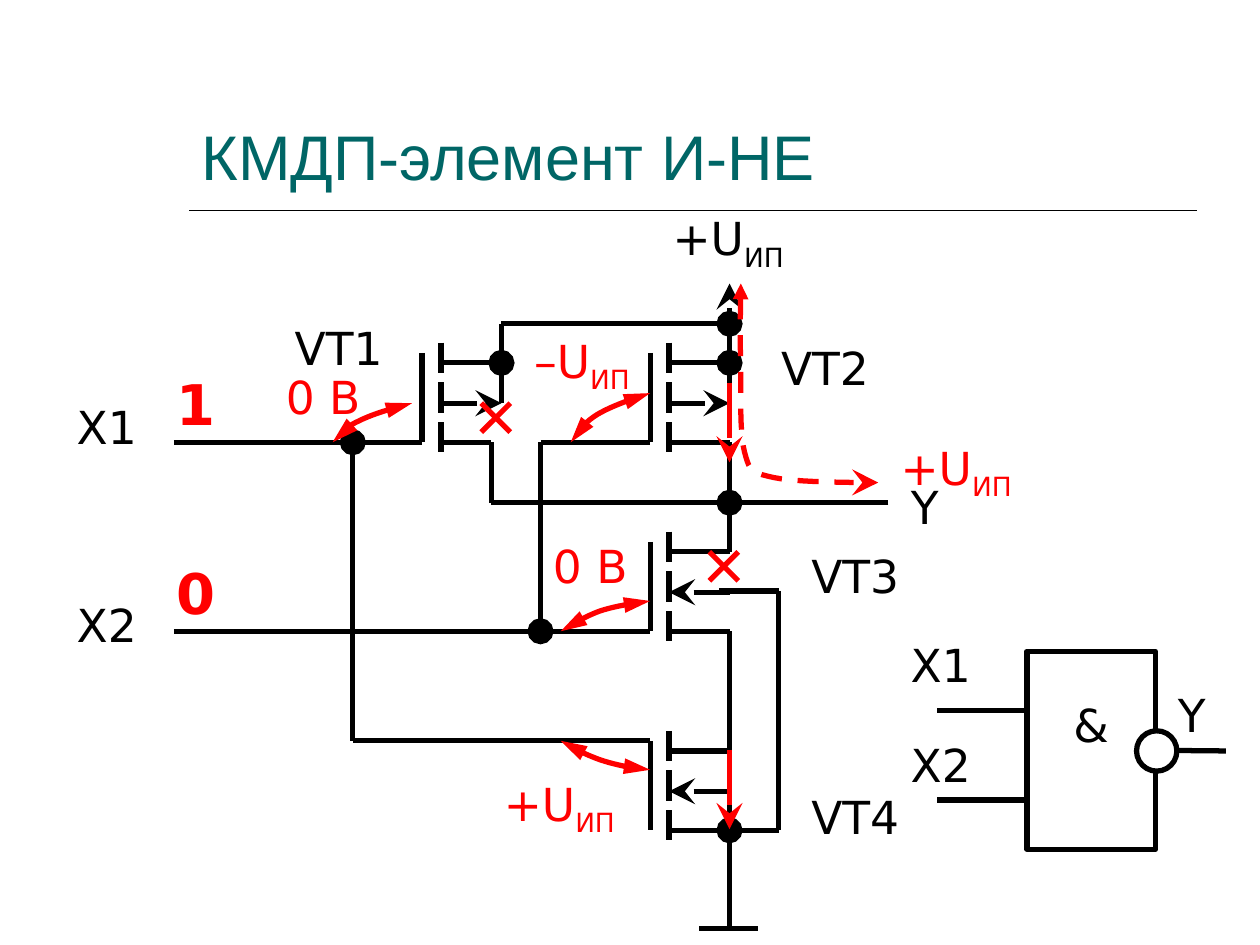
from dataclasses import dataclass

from lxml import etree
from pptx import Presentation
from pptx.dml.color import RGBColor
from pptx.enum.dml import MSO_LINE
from pptx.enum.shapes import MSO_CONNECTOR, MSO_SHAPE
from pptx.enum.text import MSO_ANCHOR, MSO_AUTO_SIZE, PP_ALIGN
from pptx.oxml.ns import qn
from pptx.util import Inches, Pt

STRAIGHT = MSO_CONNECTOR.STRAIGHT
RECTANGLE, OVAL = MSO_SHAPE.RECTANGLE, MSO_SHAPE.OVAL
BOTTOM, MIDDLE = MSO_ANCHOR.BOTTOM, MSO_ANCHOR.MIDDLE
CENTER = PP_ALIGN.CENTER
GROW = MSO_AUTO_SIZE.SHAPE_TO_FIT_TEXT
DASH = MSO_LINE.DASH
STEALTH = ("stealth", "lg", "lg")
DOT = ("oval", "lg", "lg")
TRIANGLE = ("triangle", "med", "lg")
SMALL_TRIANGLE = ("triangle", "med", "med")


@dataclass(frozen=True)
class Theme:
    """Colours, fonts and sizes of the slide."""
    ink: RGBColor = RGBColor(0, 0, 0)
    signal: RGBColor = RGBColor(255, 0, 0)
    heading: RGBColor = RGBColor(0, 0x66, 0x66)
    paper: RGBColor = RGBColor(255, 255, 255)
    heading_font: str = "Arial"
    label_font: str = "DejaVu Sans"
    heading_size: int = 36
    level_size: int = 32
    label_size: int = 26
    rule: int = 1
    wire: int = 3


THEME = Theme()


def style_font(font, color, size=THEME.label_size, name=THEME.label_font, bold=False):
    """Apply typeface, size, colour and weight."""
    font.name, font.size, font.bold = name, Pt(size), bold
    font.color.rgb = color


def style_line(shape, color, width=THEME.wire, head=None, tail=None, dash=None):
    """Style an outline and add its end marks."""
    shape.line.width = Pt(width)
    shape.line.color.rgb = color
    if dash:
        shape.line.dash_style = dash
    outline = shape.element.spPr.find(qn("a:ln"))
    for tag, mark in (("a:headEnd", head), ("a:tailEnd", tail)):
        if mark:
            kind, width_class, length_class = mark
            etree.SubElement(outline, qn(tag), type=kind, w=width_class, len=length_class)


def bezier_points(start, segments, steps=10):
    """Return points along a chain of cubic curves."""
    points = [start]
    for first, second, end in segments:
        begin = points[-1]
        for step in range(1, steps + 1):
            t = step / steps
            weights = ((1 - t) ** 3, 3 * t * (1 - t) ** 2, 3 * t * t * (1 - t), t ** 3)
            corners = (begin, first, second, end)
            points.append(tuple(sum(w * corner[axis] for w, corner in zip(weights, corners))
                                for axis in (0, 1)))
    return points


@dataclass
class Region:
    """A part of the slide with its own origin in inches."""
    slide: object
    left: float
    top: float

    def place(self, x, y):
        """Return the slide position of a point in the region."""
        return Inches(self.left + x), Inches(self.top + y)

    def line(self, x1, y1, x2, y2, color=THEME.ink, **style):
        """Draw a straight line."""
        connector = self.slide.shapes.add_connector(
            STRAIGHT, *self.place(x1, y1), *self.place(x2, y2))
        style_line(connector, color, **style)
        etree.SubElement(connector.element.spPr, qn("a:effectLst"))
        return connector

    def curve(self, start, *segments, **style):
        """Draw an open curve in the signal colour."""
        points = [self.place(*point) for point in bezier_points(start, segments)]
        builder = self.slide.shapes.build_freeform(*points[0], scale=1.0)
        builder.add_line_segments(points[1:], close=False)
        shape = builder.convert_to_shape()
        shape.shadow.inherit = False
        shape.fill.background()
        style_line(shape, THEME.signal, **style)

    def label(self, text, x, y, width, height=0.54, color=THEME.ink, subscript="", **font):
        """Write a label with an optional subscript."""
        box = self.slide.shapes.add_textbox(*self.place(x, y), Inches(width), Inches(height))
        frame = box.text_frame
        frame.word_wrap = True
        frame.auto_size = GROW
        frame.text = text
        paragraph = frame.paragraphs[0]
        if subscript:
            paragraph.add_run().text = subscript
        for run in paragraph.runs:
            style_font(run.font, color, **font)
        if subscript:
            paragraph.runs[1].font._element.set("baseline", "-25000")

    def shape(self, kind, x, y, width, height):
        """Draw an outlined shape on the paper colour."""
        shape = self.slide.shapes.add_shape(
            kind, *self.place(x, y), Inches(width), Inches(height))
        shape.shadow.inherit = False
        shape.fill.solid()
        shape.fill.fore_color.rgb = THEME.paper
        style_line(shape, THEME.ink)
        return shape


def draw_title(region, text):
    """Write the slide title above its rule."""
    region.line(0, 1.34, 8, 1.34, width=THEME.rule)
    box = region.slide.shapes.add_textbox(*region.place(0, 0), Inches(8), Inches(1.25))
    frame = box.text_frame
    frame.word_wrap = True
    frame.vertical_anchor = BOTTOM
    frame.text = text
    style_font(frame.paragraphs[0].runs[0].font, THEME.heading,
               THEME.heading_size, THEME.heading_font)


def draw_transistor(region, p_channel, source_length=0.48):
    """Draw a transistor with its channel at the left edge of the region."""
    region.line(-0.15, 0.08, -0.15, 0.79)
    for index in range(3):
        top = 0.315 * index
        region.line(0, top, 0, top + 0.24)
    region.line(0, 0.16, 0.48, 0.16)
    marks = {"tail": STEALTH} if p_channel else {"head": STEALTH}
    region.line(0, 0.48, 0.48, 0.48, **marks)
    region.line(0, 0.79, source_length, 0.79)


def draw_cross(region, size=0.23):
    """Mark a closed transistor with a cross."""
    region.line(0, 0, size, size, THEME.signal)
    region.line(0, size, size, 0, THEME.signal)


def draw_circuit(region):
    """Draw the four transistors, their wires and names."""
    transistors = [(3.5, 1.72, True, 0.4), (5.31, 1.72, True, 0.48),
                   (5.31, 3.22, False, 0.48), (5.31, 4.8, False, 0.48)]
    for x, y, p_channel, source_length in transistors:
        part = Region(region.slide, region.left + x, region.top + y)
        draw_transistor(part, p_channel, source_length)
    wires = [(1.38, 2.51, 3.35, 2.51), (1.38, 4.01, 5.16, 4.01), (2.8, 4.88, 5.16, 4.88),
             (4.29, 2.51, 5.16, 2.51), (3.9, 2.51, 3.9, 2.99), (3.9, 2.99, 5.79, 2.99),
             (3.98, 1.57, 3.98, 1.88), (5.79, 2.51, 5.79, 3.38), (5.79, 4.01, 5.79, 4.96),
             (5.79, 5.27, 5.79, 5.59), (5.71, 3.69, 6.18, 3.69), (6.18, 3.69, 6.18, 5.59),
             (5.79, 5.59, 6.18, 5.59), (5.55, 6.37, 6.02, 6.37)]
    for wire in wires:
        region.line(*wire)
    joined_wires = [(5.79, 6.37, 5.79, 5.59), (4.29, 2.51, 4.29, 4.01), (5.79, 2.2, 5.79, 1.88),
                    (7.05, 2.99, 5.79, 2.99), (3.98, 2.2, 3.98, 1.88), (3.98, 1.57, 5.79, 1.57),
                    (2.8, 4.88, 2.8, 2.51)]
    for wire in joined_wires:
        region.line(*wire, tail=DOT)
    region.line(5.79, 1.25, 5.79, 1.88, head=STEALTH)
    names = [("X1", 0.51, 2.12), ("X2", 0.51, 3.69), ("Y", 7.13, 2.75), ("VT1", 2.24, 1.49),
             ("VT2", 6.1, 1.65), ("VT3", 6.34, 3.3), ("VT4", 6.34, 5.21)]
    for text, x, y in names:
        region.label(text, x, y, 1.02)
    region.label("+U", 5.24, 0.62, 1.26, 0.6, subscript="ИП")


def draw_signals(region):
    """Show the input levels, voltages and current paths."""
    for text, y in (("1", 1.88), ("0", 3.38)):
        region.label(text, 1.3, y, 0.55, 0.64, THEME.signal, size=THEME.level_size, bold=True)
    voltages = [("–U", "ИП", 4.14, 1.59), ("+U", "ИП", 3.9, 5.11), ("+U", "ИП", 7.05, 2.44),
                ("0 В", "", 2.17, 1.88), ("0 В", "", 4.29, 3.22)]
    for text, subscript, x, y in voltages:
        region.label(text, x, y, 1.26, color=THEME.signal, subscript=subscript)
    gate_arcs = [
        [(5.16, 3.77), ((5.02, 3.79), (4.88, 3.81), (4.76, 3.85)),
         ((4.65, 3.89), (4.55, 3.95), (4.45, 4.01))],
        [(5.16, 5.11), ((5.02, 5.1), (4.88, 5.07), (4.76, 5.03)),
         ((4.65, 4.99), (4.55, 4.94), (4.45, 4.88))],
        [(2.64, 2.51), ((2.69, 2.45), (2.74, 2.39), (2.85, 2.34)),
         ((2.95, 2.29), (3.11, 2.24), (3.27, 2.2))],
        [(4.53, 2.51), ((4.58, 2.43), (4.63, 2.36), (4.74, 2.29)),
         ((4.84, 2.23), (5, 2.17), (5.16, 2.12))]]
    for arc in gate_arcs:
        region.curve(*arc, head=TRIANGLE, tail=TRIANGLE)
    for top in (2.04, 4.95):
        region.line(5.79, top, 5.79, top + 0.63, THEME.signal, tail=STEALTH)
    for x, y in ((3.82, 2.2), (5.63, 3.38)):
        draw_cross(Region(region.slide, region.left + x, region.top + y))
    region.curve((5.88, 1.25), ((5.88, 1.36), (5.87, 1.68), (5.88, 1.9)),
                 ((5.88, 2.13), (5.87, 2.44), (5.91, 2.59)),
                 ((5.95, 2.74), (5.96, 2.75), (6.14, 2.79)),
                 ((6.31, 2.83), (6.83, 2.83), (6.97, 2.83)),
                 head=SMALL_TRIANGLE, tail=STEALTH, dash=DASH)


def draw_gate_symbol(region):
    """Draw the logic symbol of the element."""
    body = region.shape(RECTANGLE, 1.15, 0.17, 1.02, 1.57)
    frame = body.text_frame
    frame.word_wrap = False
    frame.vertical_anchor = MIDDLE
    frame.margin_bottom = Inches(0.47)
    frame.text = "&"
    frame.paragraphs[0].alignment = CENTER
    style_font(frame.paragraphs[0].runs[0].font, THEME.ink)
    output = region.line(2.17, 0.96, 2.73, 0.96)
    output.begin_connect(body, 3)
    region.shape(OVAL, 2.02, 0.8, 0.32, 0.32)
    for y in (0.64, 1.35):
        region.line(0.44, y, 1.15, y)
    for text, x, y, width in (("X1", 0.13, 0.01, 0.94), ("X2", 0.13, 0.8, 0.94),
                              ("Y", 2.25, 0.4, 0.63)):
        region.label(text, x, y, width)


def main():
    """Build and save the presentation."""
    presentation = Presentation()
    presentation.slide_width, presentation.slide_height = Inches(10), Inches(7.5)
    slide = presentation.slides.add_slide(presentation.slide_layouts[6])
    draw_title(Region(slide, 1.5, 0.33), "КМДП-элемент И-НЕ")
    draw_circuit(Region(slide, 0, 1))
    draw_signals(Region(slide, 0, 1))
    draw_gate_symbol(Region(slide, 7, 5))
    presentation.save("out.pptx")


if __name__ == "__main__":
    main()
